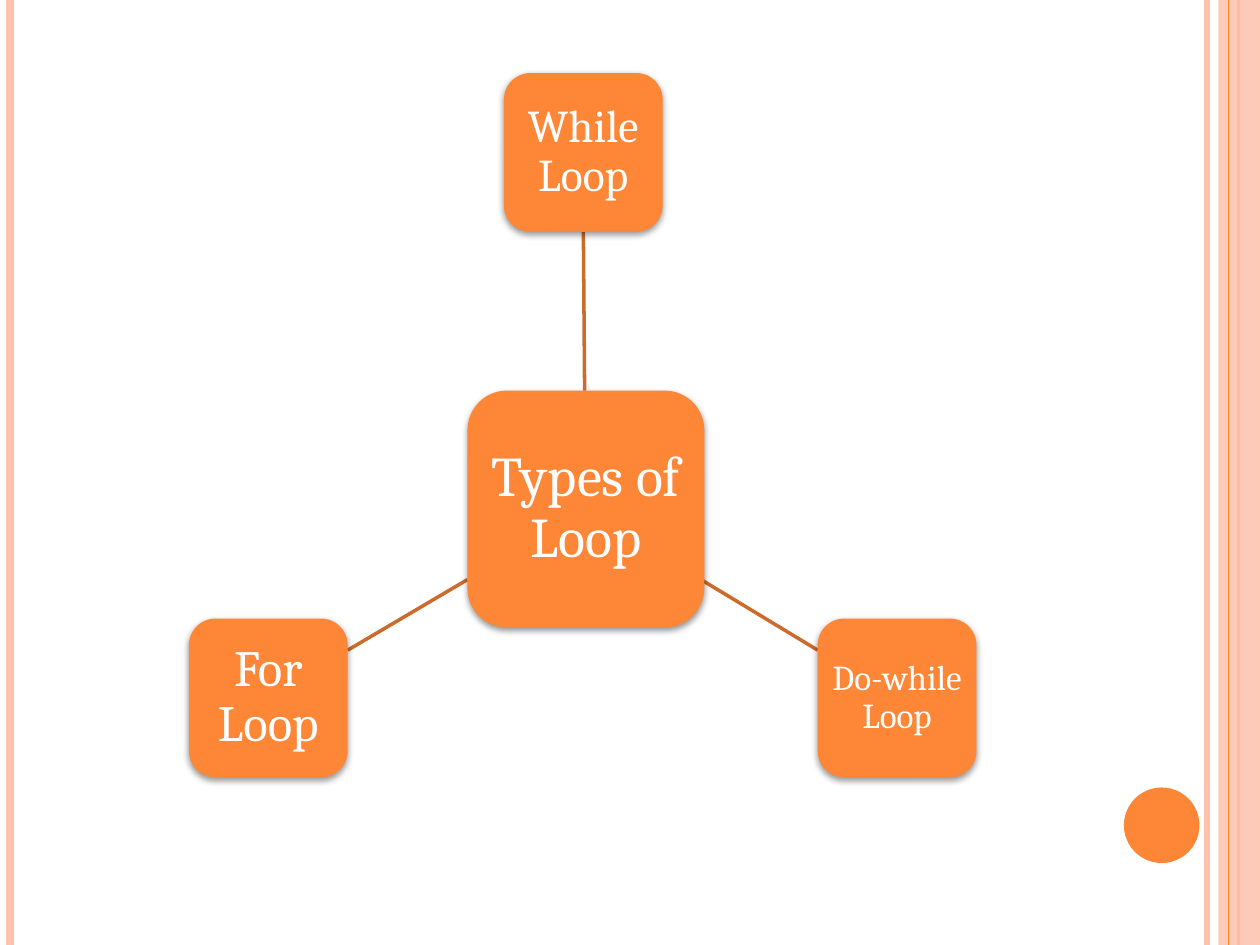
from lxml.etree import SubElement
from pptx import Presentation
from pptx.dml.color import RGBColor
from pptx.enum.shapes import MSO_CONNECTOR, MSO_SHAPE
from pptx.enum.text import MSO_ANCHOR, PP_ALIGN
from pptx.oxml import parse_xml
from pptx.oxml.ns import nsdecls, qn
from pptx.util import Inches, Pt

THEME = {
    "font": "Cambria",
    "accent": RGBColor.from_string("FE8637"),
    "pale": RGBColor.from_string("FEC3AE"),
    "spoke": RGBColor.from_string("CB6B2C"),
    "text": RGBColor.from_string("FFFFFF"),
    "hub_size": 32,
}
WIDTH, HEIGHT = 10, 7.5

SHADOW = (
    f'<a:effectLst {nsdecls("a")}>'
    '<a:outerShdw blurRad="50800" dist="20320" dir="5400000" rotWithShape="0">'
    '<a:srgbClr val="000000"><a:alpha val="42000"/></a:srgbClr>'
    '</a:outerShdw></a:effectLst>'
)

prs = Presentation()
prs.slide_width, prs.slide_height = Inches(WIDTH), Inches(HEIGHT)
slide = prs.slides.add_slide(prs.slide_layouts[6])


def add_line(start, end, color, weight):
    line = slide.shapes.add_connector(
        MSO_CONNECTOR.STRAIGHT, *(Inches(v) for v in (*start, *end)))
    line.line.color.rgb = color
    line.line.width = Pt(weight)
    SubElement(line._element.spPr, qn("a:effectLst"))


def add_filled(kind, left, top, width, height, color):
    shape = slide.shapes.add_shape(
        kind, *(Inches(v) for v in (left, top, width, height)))
    shape.fill.solid()
    shape.fill.fore_color.rgb = color
    shape.line.fill.background()
    shape.shadow.inherit = False
    return shape


# Side stripes and the round ornament
for x, color, weight in ((9.58, "pale", 3), (0.08, "pale", 4.5), (9.83, "accent", 1.5)):
    add_line((x, 0), (x, HEIGHT), THEME[color], weight)
band = add_filled(MSO_SHAPE.RECTANGLE, 9.67, 0, 0.33, HEIGHT, THEME["pale"])
band_color = band._element.spPr.find(qn("a:solidFill"))[0]
SubElement(band_color, qn("a:alpha"), val="87000")
add_line((9.75, 0), (9.75, HEIGHT), THEME["accent"], 0.75)
add_filled(MSO_SHAPE.OVAL, 8.92, 6.25, 0.6, 0.6, THEME["accent"])

# Spokes from the hub to each loop
for start, end in (
    ((4.64, 3.1), (4.63, 1.84)),
    ((5.58, 4.61), (6.49, 5.16)),
    ((3.71, 4.6), (2.76, 5.16)),
):
    add_line(start, end, THEME["spoke"], 2)

# Hub and the three loops: label, left, top, side, type size
HUB, LOOP = 1.88, 1.26
for label, left, top, side, size in (
    ("Types of Loop", 3.71, 3.1, HUB, THEME["hub_size"]),
    ("While Loop", 4, 0.58, LOOP, 26),
    ("Do-while Loop", 6.49, 4.91, LOOP, 20),
    ("For Loop", 1.5, 4.91, LOOP, 29),
):
    node = add_filled(MSO_SHAPE.ROUNDED_RECTANGLE, left, top, side, side, THEME["accent"])
    properties = node._element.spPr
    properties.replace(properties.find(qn("a:effectLst")), parse_xml(SHADOW))
    frame = node.text_frame
    frame.text = label
    frame.word_wrap = True
    frame.vertical_anchor = MSO_ANCHOR.MIDDLE
    frame.margin_left = frame.margin_right = frame.margin_top = frame.margin_bottom = 0
    paragraph = frame.paragraphs[0]
    paragraph.alignment = PP_ALIGN.CENTER
    paragraph.line_spacing = 0.9
    font = paragraph.runs[0].font
    font.name, font.size = THEME["font"], Pt(size)
    font.color.rgb = THEME["text"]

prs.save("out.pptx")
